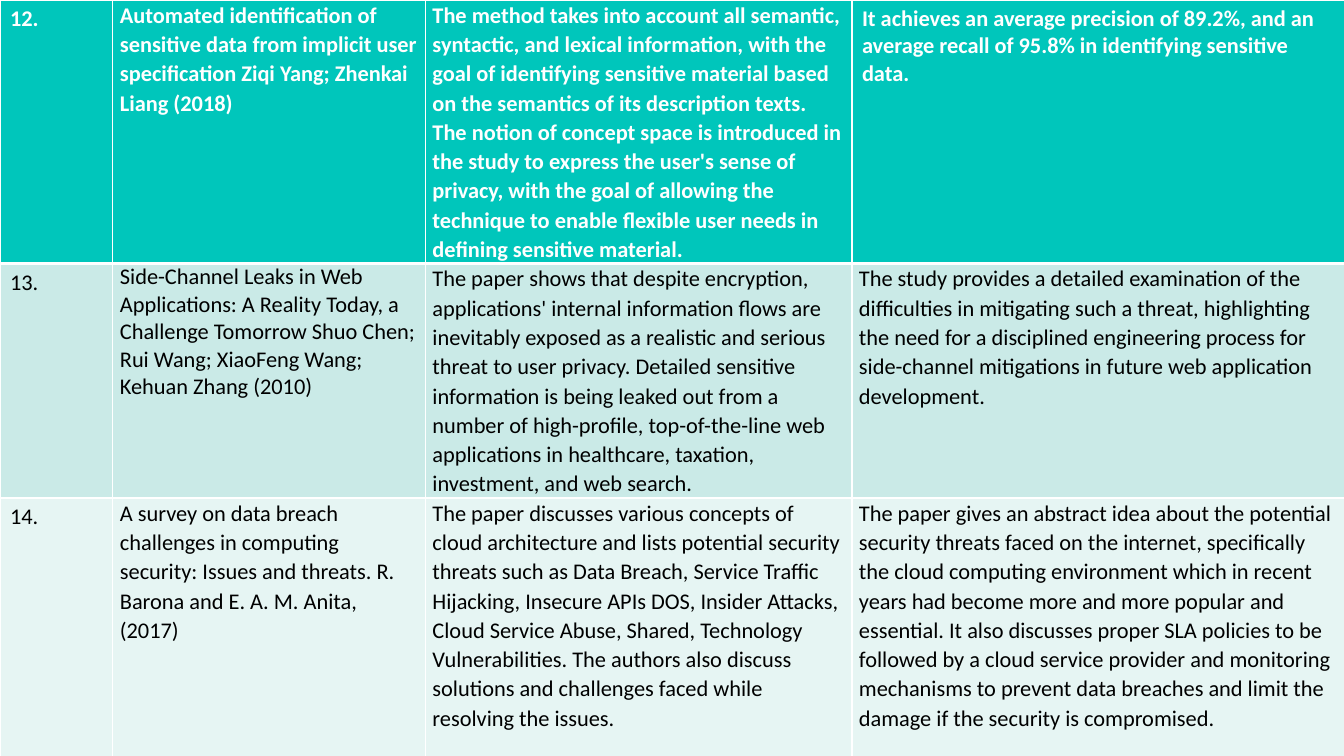
from collections import namedtuple

from lxml.etree import SubElement
from pptx import Presentation
from pptx.dml.color import RGBColor
from pptx.oxml.ns import qn
from pptx.util import Inches, Pt

COLORS = {
    "background": "212121",
    "header": "00C6BB",
    "band_dark": "CAEAE7",
    "band_light": "E6F5F3",
    "white": "FFFFFF",
    "black": "000000",
}
FONT = "Calibri"
COL_WIDTHS = [1.12, 3.1, 4.23, 4.89]
ROW_HEIGHTS = [2.58, 2.16, 2.85]
ROW_FILLS = ["header", "band_dark", "band_light"]

# Cell layouts: side and top insets in inches, line spacing, points after
Layout = namedtuple("Layout", "side top spacing after")
PADDED = Layout(0.1, 0.05, None, 0)
TIGHT = Layout(0.07, 0, None, 0)
SPACED = Layout(0.07, 0, 1.07, 0)
BODY = Layout(0.07, 0, 1.07, 8)

PAPERS = [
    [
        ("12.", PADDED),
        ("Automated identification of sensitive data from implicit user "
         "specification Ziqi Yang; Zhenkai Liang (2018)", BODY),
        ("The method takes into account all semantic, syntactic, and lexical "
         "information, with the goal of identifying sensitive material based on "
         "the semantics of its description texts. The notion of concept space is "
         "introduced in the study to express the user's sense of privacy, with "
         "the goal of allowing the technique to enable flexible user needs in "
         "defining sensitive material.", BODY),
        ("It achieves an average precision of 89.2%, and an average recall of "
         "95.8% in identifying sensitive data.", PADDED),
    ],
    [
        ("13.", PADDED),
        ("Side-Channel Leaks in Web Applications: A Reality Today, a Challenge "
         "Tomorrow Shuo Chen; Rui Wang; XiaoFeng Wang; Kehuan Zhang (2010)", TIGHT),
        ("The paper shows that despite encryption, applications' internal "
         "information flows are inevitably exposed as a realistic and serious "
         "threat to user privacy. Detailed sensitive information is being leaked "
         "out from a number of high-profile, top-of-the-line web applications in "
         "healthcare, taxation, investment, and web search.", SPACED),
        ("The study provides a detailed examination of the difficulties in "
         "mitigating such a threat, highlighting the need for a disciplined "
         "engineering process for side-channel mitigations in future web "
         "application development.", BODY),
    ],
    [
        ("14.", PADDED),
        ("A survey on data breach challenges in computing security: Issues and "
         "threats. R. Barona and E. A. M. Anita, (2017)", BODY),
        ("The paper discusses various concepts of cloud architecture and lists "
         "potential security threats such as Data Breach, Service Traffic "
         "Hijacking, Insecure APIs DOS, Insider Attacks, Cloud Service Abuse, "
         "Shared, Technology Vulnerabilities. The authors also discuss solutions "
         "and challenges faced while resolving the issues.", BODY),
        ("The paper gives an abstract idea about the potential security threats "
         "faced on the internet, specifically the cloud computing environment "
         "which in recent years had become more and more popular and essential. "
         "It also discusses proper SLA policies to be followed by a cloud service "
         "provider and monitoring mechanisms to prevent data breaches and limit "
         "the damage if the security is compromised.", BODY),
    ],
]


def rgb(name):
    return RGBColor.from_string(COLORS[name])


def set_borders(cell, top, bottom):
    """Draw white borders; widths in points, sides always 1."""
    tc_pr = cell._tc.get_or_add_tcPr()
    widths = {"a:lnL": 1, "a:lnR": 1, "a:lnT": top, "a:lnB": bottom}
    for tag, width in widths.items():
        line = SubElement(tc_pr, qn(tag), w=str(Pt(width)))
        fill = SubElement(line, qn("a:solidFill"))
        SubElement(fill, qn("a:srgbClr"), val=COLORS["white"])


def fill_cell(cell, text, layout, fill, is_header):
    cell.margin_left = cell.margin_right = Inches(layout.side)
    cell.margin_top = cell.margin_bottom = Inches(layout.top)
    p = cell.text_frame.paragraphs[0]
    p.text = text
    p.line_spacing = layout.spacing
    p.space_after = Pt(layout.after)
    p.font.name = FONT
    p.font.size = Pt(16)
    p.font.bold = is_header
    p.font.color.rgb = rgb("white" if is_header else "black")
    cell.fill.solid()
    cell.fill.fore_color.rgb = rgb(fill)


def add_papers_table(slide):
    frame = slide.shapes.add_table(
        len(PAPERS), len(COL_WIDTHS), Inches(0), Inches(0),
        Inches(sum(COL_WIDTHS)), Inches(sum(ROW_HEIGHTS)))
    table = frame.table
    for column, width in zip(table.columns, COL_WIDTHS):
        column.width = Inches(width)
    for i, (paper, fill) in enumerate(zip(PAPERS, ROW_FILLS)):
        table.rows[i].height = Inches(ROW_HEIGHTS[i])
        for j, (text, layout) in enumerate(paper):
            cell = table.cell(i, j)
            # The thick rule separates the header row from the rest
            set_borders(cell, top=3 if i == 1 else 1, bottom=3 if i == 0 else 1)
            fill_cell(cell, text, layout, fill, is_header=i == 0)


def main():
    prs = Presentation()
    prs.slide_width, prs.slide_height = Inches(13.33), Inches(7.5)
    slide = prs.slides.add_slide(prs.slide_layouts[6])

    # Background
    slide.background.fill.solid()
    slide.background.fill.fore_color.rgb = rgb("background")

    # Literature review table
    add_papers_table(slide)
    prs.save("out.pptx")


if __name__ == "__main__":
    main()
